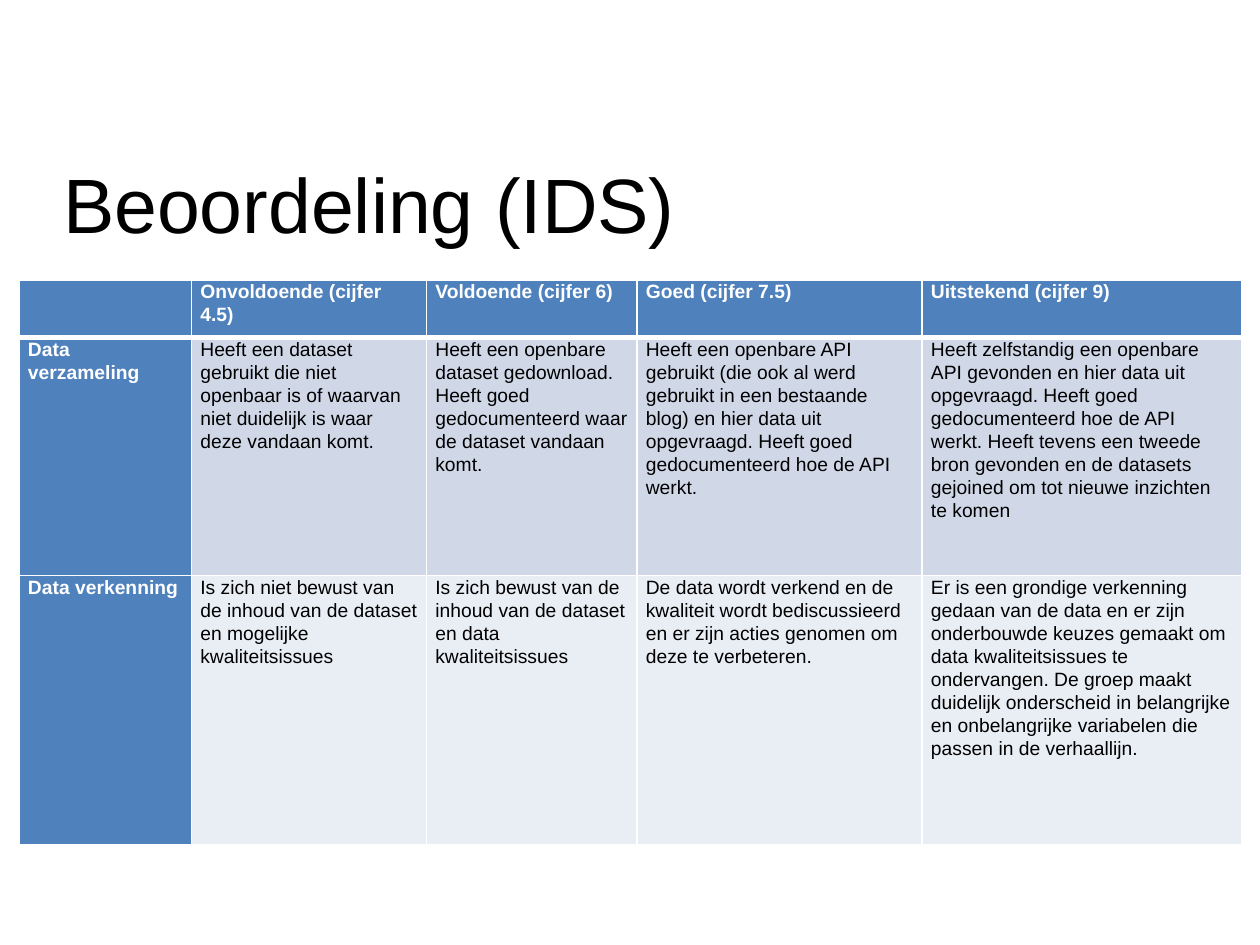
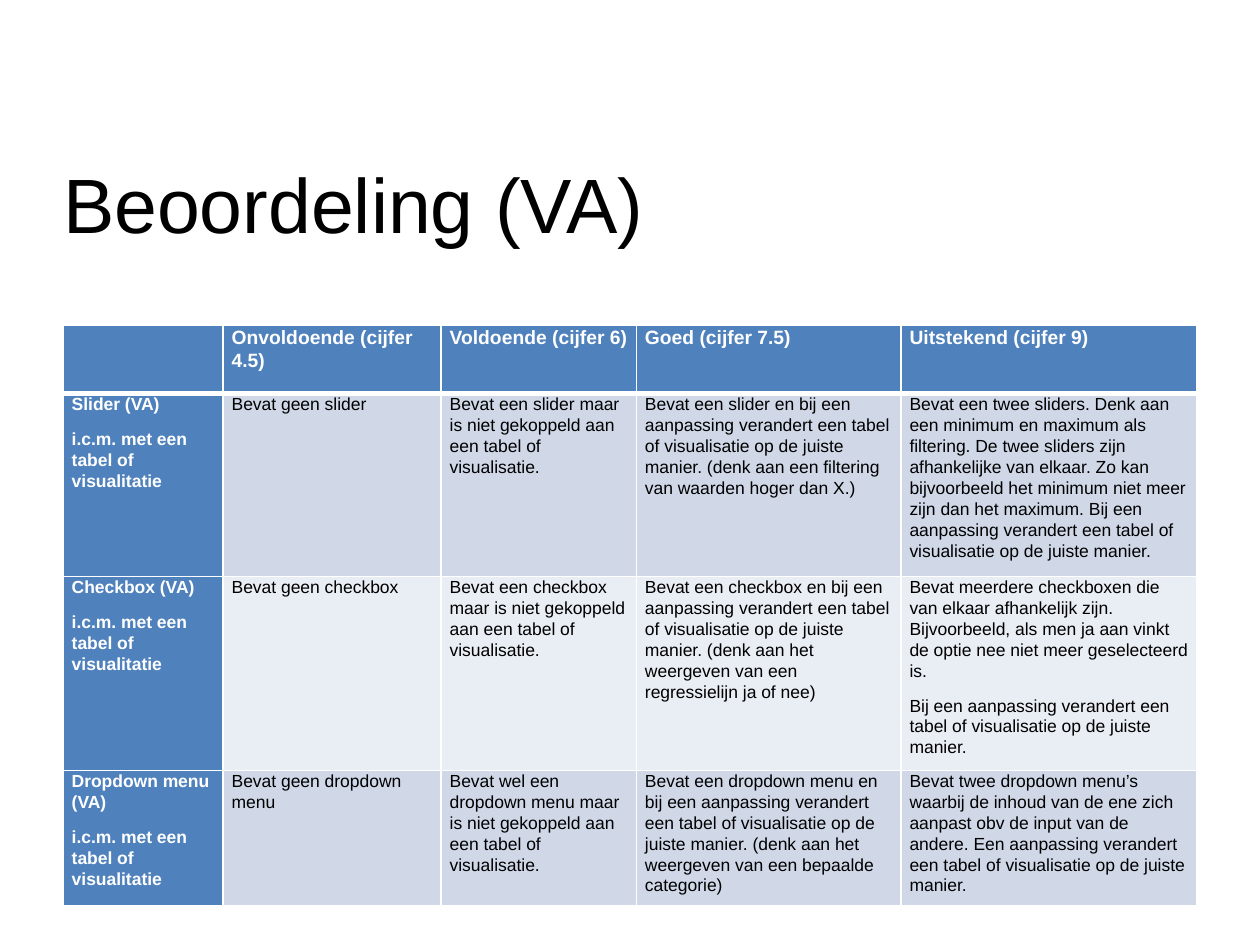
from dataclasses import dataclass

from lxml import etree
from pptx import Presentation
from pptx import util as u
from pptx.dml.color import RGBColor
from pptx.enum import text
from pptx.oxml.ns import qn

Pt = u.Pt

# Shared style
FONT = "Arial"
BLACK, WHITE, BLUE = "000000", "FFFFFF", "4F81BD"
BANDS = ("D0D8E8", "E9EDF4")
HEADER_SIZE = 11
COLUMN_SHARES = (91.4, 124.6, 111.6, 151.2, 169.2)
GRADES = ("", "Onvoldoende (cijfer 4.5)", "Voldoende (cijfer 6)",
          "Goed (cijfer 7.5)", "Uitstekend (cijfer 9)")
COMBINED = "\ni.c.m. met een tabel of visualitatie"


@dataclass
class Rubric:
    """One slide: a title and a grading table; lengths in points."""
    title: str
    left: float
    top: float
    width: float
    row_heights: tuple[float, ...]
    body_size: float
    criteria: tuple[tuple[str, ...], ...]


RUBRICS = (
    Rubric(
        "Beoordeling (IDS)", 11, 160, 698.4, (33, 136, 153.5), 11,
        (
            ("Data verzameling",
             "Heeft een dataset gebruikt die niet openbaar is of waarvan niet "
             "duidelijk is waar deze vandaan komt.",
             "Heeft een openbare dataset gedownload. Heeft goed gedocumenteerd "
             "waar de dataset vandaan komt.",
             "Heeft een openbare API gebruikt (die ook al werd gebruikt in een "
             "bestaande blog) en hier data uit opgevraagd. Heeft goed "
             "gedocumenteerd hoe de API werkt.",
             "Heeft zelfstandig een openbare API gevonden en hier data uit "
             "opgevraagd. Heeft goed gedocumenteerd hoe de API werkt. Heeft "
             "tevens een tweede bron gevonden en de datasets gejoined om tot "
             "nieuwe inzichten te komen"),
            ("Data verkenning",
             "Is zich niet bewust van de inhoud van de dataset en mogelijke "
             "kwaliteitsissues",
             "Is zich bewust van de inhoud van de dataset en data "
             "kwaliteitsissues",
             "De data wordt verkend en de kwaliteit wordt bediscussieerd en er "
             "zijn acties genomen om deze te verbeteren.",
             "Er is een grondige verkenning gedaan van de data en er zijn "
             "onderbouwde keuzes gemaakt om data kwaliteitsissues te "
             "ondervangen. De groep maakt duidelijk onderscheid in belangrijke "
             "en onbelangrijke variabelen die passen in de verhaallijn."),
        ),
    ),
    Rubric(
        "Beoordeling (VA)", 36, 186, 648, (39, 104.5, 98.5, 72), 10,
        (
            ("Slider (VA)" + COMBINED,
             "Bevat geen slider",
             "Bevat een slider maar is niet gekoppeld aan een tabel of "
             "visualisatie.",
             "Bevat een slider en bij een aanpassing verandert een tabel of "
             "visualisatie op de juiste manier. (denk aan een filtering van "
             "waarden hoger dan X.)",
             "Bevat een twee sliders. Denk aan een minimum en maximum als "
             "filtering. De twee sliders zijn afhankelijke van elkaar. Zo kan "
             "bijvoorbeeld het minimum niet meer zijn dan het maximum. Bij een "
             "aanpassing verandert een tabel of visualisatie op de juiste "
             "manier."),
            ("Checkbox (VA)" + COMBINED,
             "Bevat geen checkbox",
             "Bevat een checkbox maar is niet gekoppeld aan een tabel of "
             "visualisatie.",
             "Bevat een checkbox en bij een aanpassing verandert een tabel of "
             "visualisatie op de juiste manier. (denk aan het weergeven van "
             "een regressielijn ja of nee)",
             "Bevat meerdere checkboxen die van elkaar afhankelijk zijn. "
             "Bijvoorbeeld, als men ja aan vinkt de optie nee niet meer "
             "geselecteerd is.\n"
             "Bij een aanpassing verandert een tabel of visualisatie op de "
             "juiste manier."),
            ("Dropdown menu (VA)" + COMBINED,
             "Bevat geen dropdown menu",
             "Bevat wel een dropdown menu maar is niet gekoppeld aan een tabel "
             "of visualisatie.",
             "Bevat een dropdown menu en bij een aanpassing verandert een "
             "tabel of visualisatie op de juiste manier. (denk aan het "
             "weergeven van een bepaalde categorie)",
             "Bevat twee dropdown menu’s waarbij de inhoud van de ene zich "
             "aanpast obv de input van de andere. Een aanpassing verandert een "
             "tabel of visualisatie op de juiste manier."),
        ),
    ),
)


def rgb(color: str) -> RGBColor:
    return RGBColor.from_string(color)


def style_font(font, size: float, color: str, bold: bool = False) -> None:
    font.name, font.size, font.bold = FONT, Pt(size), bold
    font.color.rgb = rgb(color)


def add_title(slide, title: str) -> None:
    sp = slide.shapes.title
    sp.left, sp.top, sp.width, sp.height = Pt(36), Pt(95), Pt(648), Pt(48)
    tf = sp.text_frame
    tf.text = title
    tf.word_wrap = True
    tf.auto_size = text.MSO_AUTO_SIZE.SHAPE_TO_FIT_TEXT
    tf.vertical_anchor = text.MSO_ANCHOR.MIDDLE
    tf.margin_left = tf.margin_top = tf.margin_right = tf.margin_bottom = 0
    p = tf.paragraphs[0]
    p.alignment = text.PP_ALIGN.LEFT
    p.line_spacing = 0.9
    style_font(p.font, 44, BLACK)


def add_borders(cell, widths: dict[str, float]) -> None:
    """Draw white cell edges; they must precede the fill in the XML."""
    props = cell._tc.get_or_add_tcPr()
    for index, (side, width) in enumerate(widths.items()):
        line = etree.Element(qn(f"a:ln{side}"), w=str(int(Pt(width))))
        fill = etree.SubElement(line, qn("a:solidFill"))
        etree.SubElement(fill, qn("a:srgbClr"), val=WHITE)
        props.insert(index, line)


def fill_cell(cell, words: str, row: int, column: int, body_size: float) -> None:
    heading = row == 0 or column == 0
    cell.fill.solid()
    cell.fill.fore_color.rgb = rgb(BLUE if heading else BANDS[(row - 1) % 2])
    cell.margin_left = cell.margin_right = Pt(5)
    cell.margin_top = cell.margin_bottom = 0
    cell.text_frame.text = words
    for p in cell.text_frame.paragraphs:
        p.line_spacing = 1.07
        p.space_after = Pt(8)
        style_font(p.font, HEADER_SIZE if row == 0 else body_size,
                   WHITE if heading else BLACK, heading)
    # A thicker rule separates the header from the criteria
    add_borders(cell, {"L": 1, "R": 1, "T": 3 if row == 1 else 1,
                       "B": 3 if row == 0 else 1})


def add_rubric_table(slide, rubric: Rubric) -> None:
    rows = (GRADES, *rubric.criteria)
    table = slide.shapes.add_table(
        len(rows), len(GRADES), Pt(rubric.left), Pt(rubric.top),
        Pt(rubric.width), Pt(sum(rubric.row_heights))).table
    scale = rubric.width / sum(COLUMN_SHARES)
    for column, share in zip(table.columns, COLUMN_SHARES):
        column.width = Pt(share * scale)
    for table_row, height in zip(table.rows, rubric.row_heights):
        table_row.height = Pt(height)
    for r, row in enumerate(rows):
        for c, words in enumerate(row):
            fill_cell(table.cell(r, c), words, r, c, rubric.body_size)


def main() -> None:
    prs = Presentation()
    prs.slide_width, prs.slide_height = Pt(720), Pt(540)
    title_only = prs.slide_layouts.get_by_name("Title Only")
    for rubric in RUBRICS:
        slide = prs.slides.add_slide(title_only)
        add_title(slide, rubric.title)
        add_rubric_table(slide, rubric)
    prs.save("out.pptx")


if __name__ == "__main__":
    main()
